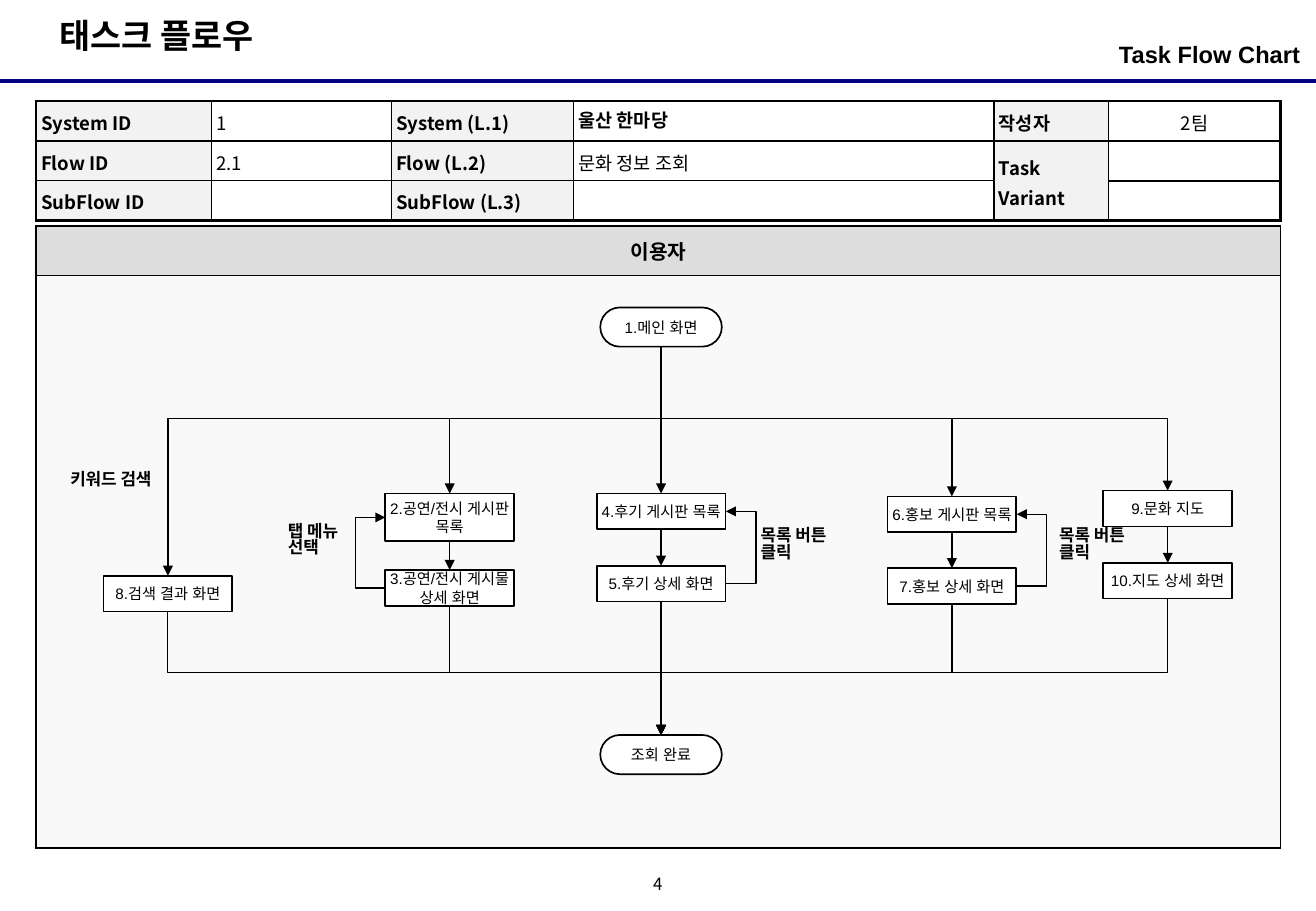
from dataclasses import dataclass
from lxml.etree import SubElement
from pptx import Presentation
from pptx.dml.color import RGBColor
from pptx.enum.shapes import MSO_CONNECTOR, MSO_SHAPE
from pptx.enum.text import MSO_ANCHOR, PP_ALIGN
from pptx.oxml.ns import qn
from pptx.util import Cm, Pt

LEFT, MID, RIGHT = PP_ALIGN.LEFT, PP_ALIGN.CENTER, PP_ALIGN.RIGHT
TOP, CENTER = MSO_ANCHOR.TOP, MSO_ANCHOR.MIDDLE
STRAIGHT, ELBOW = MSO_CONNECTOR.STRAIGHT, MSO_CONNECTOR.ELBOW
RECT, PILL = MSO_SHAPE.RECTANGLE, MSO_SHAPE.FLOWCHART_TERMINATOR


@dataclass
class Theme:
    ink: str = "000000"
    paper: str = "FFFFFF"
    navy: str = "000080"
    head: str = "DDDDDD"
    tint: str = "F2F2F2"
    body: str = "F9F9F9"
    sans: str = "Arial"
    hangul: str = "Noto Sans CJK KR"
    title: int = 20
    topic: int = 14
    lane: int = 12
    cell: int = 11
    label: int = 10
    node: int = 9
    tight: float = 0.83


@dataclass
class Node:
    mid: float
    top: float
    wide: float
    high: float

    @property
    def base(self):
        return self.top + self.high

    @property
    def level(self):
        return self.top + self.high / 2


class Chart:
    def __init__(self, slide, theme):
        self.slide, self.theme = slide, theme

    def fill_in(self, frame, text, size, font, bold=False, align=LEFT, space=None, gap=(0, 0)):
        for i, line in enumerate(text.split("\n")):
            para = frame.add_paragraph() if i else frame.paragraphs[0]
            para.alignment = align
            if space:
                para.line_spacing = space
            props = para._p.get_or_add_pPr()
            for tag, part in zip(("a:spcBef", "a:spcAft"), gap):
                if part:
                    SubElement(SubElement(props, qn(tag)), qn("a:spcPct"), val=str(part * 1000))
            if not line:
                SubElement(para._p, qn("a:endParaRPr"), sz=str(size * 100))
                continue
            run = para.add_run()
            run.text = line
            run.font.size, run.font.bold, run.font.name = Pt(size), bold, font
            run.font.color.rgb = RGBColor.from_string(self.theme.ink)
            SubElement(run._r.get_or_add_rPr(), qn("a:ea"), typeface=font)

    def frame(self, shape, pads, anchor, wrap=True):
        frame = shape.text_frame
        frame.word_wrap, frame.vertical_anchor = wrap, anchor
        side, edge = pads
        frame.margin_left = frame.margin_right = Cm(side)
        frame.margin_top = frame.margin_bottom = Cm(edge)
        return frame

    def text(self, rect, text, size, font, pads=(0.25, 0.13), anchor=TOP, wrap=True, **style):
        box = self.slide.shapes.add_textbox(*map(Cm, rect))
        self.fill_in(self.frame(box, pads, anchor, wrap), text, size, font, **style)

    def label(self, left, top, text):
        high = 0.68 + 0.43 * text.count("\n")
        self.text((left, top, 3.18, high), text, self.theme.label, self.theme.hangul,
                  bold=True, space=self.theme.tight)

    def node(self, mid, top, text, kind=RECT, wide=2.69, high=0.75):
        look = self.theme
        shape = self.slide.shapes.add_shape(kind, *map(Cm, (mid - wide / 2, top, wide, high)))
        shape.shadow.inherit = False
        shape.fill.solid()
        shape.fill.fore_color.rgb = RGBColor.from_string(look.paper)
        shape.line.color.rgb = RGBColor.from_string(look.ink)
        shape.line.width = Pt(1)
        self.fill_in(self.frame(shape, (0.05, 0), CENTER), text, look.node, look.sans, align=MID)
        return Node(mid, top, wide, high)

    def line(self, kind, start, end, color, width=0.75, arrow=True):
        line = self.slide.shapes.add_connector(kind, *map(Cm, start + end))
        line.line.color.rgb = RGBColor.from_string(color)
        line.line.width = Pt(width)
        props = line._element.spPr
        if arrow:
            SubElement(props.find(qn("a:ln")), qn("a:tailEnd"), type="triangle")
        SubElement(props, qn("a:effectLst"))
        return props

    def bend(self, start, end, turn, ratio):
        props = self.line(ELBOW, start, end, self.theme.ink)
        if turn:
            props.find(qn("a:xfrm")).set("rot", str(turn * 60000))
        shape = props.find(qn("a:prstGeom"))
        SubElement(shape.find(qn("a:avLst")), qn("a:gd"), name="adj1",
                   fmla=f"val {round(ratio * 100000)}")

    def drop(self, src, dst, turn=None):
        if turn is None or src.mid == dst.mid:
            self.line(STRAIGHT, (src.mid, src.base), (dst.mid, dst.top), self.theme.ink)
            return
        run, fall = dst.mid - src.mid, dst.top - src.base
        x, y = (src.mid + dst.mid) / 2, (src.base + dst.top) / 2
        half = fall / 2 if run > 0 else -fall / 2
        rise = abs(run) / 2
        self.bend((x + half, y - rise), (x - half, y + rise),
                  270 if run > 0 else 90, (turn - src.base) / fall)

    def loop(self, low, high, side):
        thin, reach = 0.01, 0.64
        x = low.mid + side * low.wide / 2
        if side > 0:
            self.bend((x, low.level), (x + thin, high.level), 0, reach / thin)
        else:
            self.bend((x, high.level), (x + thin, low.level), 180, reach / thin)

    def grid(self, left, top, cols, rows):
        size = map(Cm, (left, top, sum(cols), sum(rows)))
        table = self.slide.shapes.add_table(len(rows), len(cols), *size).table
        table.first_row = table.horz_banding = False
        for col, wide in zip(table.columns, cols):
            col.width = Cm(wide)
        for row, high in zip(table.rows, rows):
            row.height = Cm(high)
        return table

    def cell(self, cell, text, fill, edges, size, pad=0.1, anchor=TOP, **style):
        cell.vertical_anchor = anchor
        cell.margin_left = cell.margin_right = cell.margin_top = cell.margin_bottom = Cm(pad)
        props = cell._tc.get_or_add_tcPr()
        for side, width in zip("LRTB", edges):
            edge = SubElement(props, qn(f"a:ln{side}"), w=str(Pt(width)))
            SubElement(SubElement(edge, qn("a:solidFill")), qn("a:srgbClr"), val=self.theme.ink)
        cell.fill.solid()
        cell.fill.fore_color.rgb = RGBColor.from_string(fill)
        self.fill_in(cell.text_frame, text, size, self.theme.hangul, **style)


def main():
    look = Theme()
    deck = Presentation()
    deck.slide_width, deck.slide_height = Cm(27.51), Cm(19.05)
    chart = Chart(deck.slides.add_slide(deck.slide_layouts[6]), look)

    chart.line(STRAIGHT, (0, 1.7), (27.51, 1.7), look.navy, 2.25, False)
    chart.text((1, 0.33, 5.03, 1.12), "태스크 플로우", look.title, look.hangul,
               wrap=False, bold=True, space=look.tight)
    chart.text((18.77, 0.71, 8.41, 0.99), "Task Flow Chart", look.topic, look.sans,
               pads=(0, 0.13), bold=True, align=RIGHT, gap=(20, 0))
    chart.text((13.33, 18.2, 0.84, 0.64), "4", look.label, look.hangul, pads=(0, 0),
               anchor=CENTER, wrap=False, align=MID, space=0.8)

    lane = chart.grid(0.76, 4.72, [26.01], [1.04, 11.98])
    chart.cell(lane.cell(0, 0), "이용자", look.head, (1.5, 0.75, 1.5, 0.75), look.lane,
               anchor=CENTER, bold=True, align=MID)
    chart.cell(lane.cell(1, 0), "", look.body, (1.5, 0.75, 0.75, 1.5), look.lane)

    facts = [
        ["System ID", "1", "System (L.1)", "울산 한마당", "작성자", "2팀"],
        ["Flow ID", "2.1", "Flow (L.2)", "문화 정보 조회", "Task Variant", ""],
        ["SubFlow ID", "", "SubFlow (L.3)", "", "", ""],
    ]
    info = chart.grid(0.76, 2.12, [3.66, 3.76, 3.81, 8.79, 2.39, 3.6], [0.83] * 3)
    info.cell(1, 4).merge(info.cell(2, 4))
    for r, row in enumerate(facts):
        for c, text in enumerate(row):
            name, side = c % 2 == 0, c >= 4
            lead = (r, c) == (0, 3)
            edges = (1.5 if c == 0 else 1, 1.5 if c == 5 else 1,
                     1.5 if r == 0 or side else 1, 1.5 if r == 2 or side else 1)
            chart.cell(info.cell(r, c), text, look.tint if name else look.paper, edges,
                       look.cell, anchor=CENTER if side else TOP, bold=name or lead,
                       align=MID if c == 5 else LEFT, space=None if lead else 1.1,
                       gap=(0, 0) if lead else (10, 10))

    start = chart.node(13.82, 6.43, "1.메인 화면", PILL, 2.54, 0.82)
    done = chart.node(13.82, 15.37, "조회 완료", PILL, 2.54, 0.82)
    split, join = 8.75, 14.07
    flows = [
        (3.51, [(12.04, "8.검색 결과 화면", 0.75)], 0),
        (9.4, [(10.32, "2.공연/전시 게시판 목록", 1),
               (11.92, "3.공연/전시 게시물 상세 화면", 0.75)], -1),
        (13.82, [(10.32, "4.후기 게시판 목록", 0.75), (11.83, "5.후기 상세 화면", 0.75)], 1),
        (19.9, [(10.38, "6.홍보 게시판 목록", 0.75), (11.88, "7.홍보 상세 화면", 0.75)], 1),
        (24.41, [(10.26, "9.문화 지도", 0.75), (11.77, "10.지도 상세 화면", 0.75)], 0),
    ]
    for mid, steps, side in flows:
        nodes = [chart.node(mid, top, text, high=high) for top, text, high in steps]
        chart.drop(start, nodes[0], split)
        chart.drop(nodes[-1], done, join)
        for high, low in zip(nodes, nodes[1:]):
            chart.drop(high, low)
            if side:
                chart.loop(low, high, side)

    chart.label(1.22, 9.75, "키워드 검색")
    chart.label(5.77, 10.82, "탭 메뉴\n선택")
    for left in (15.65, 21.89):
        chart.label(left, 10.92, "목록 버튼\n클릭")

    deck.save("out.pptx")


if __name__ == "__main__":
    main()
